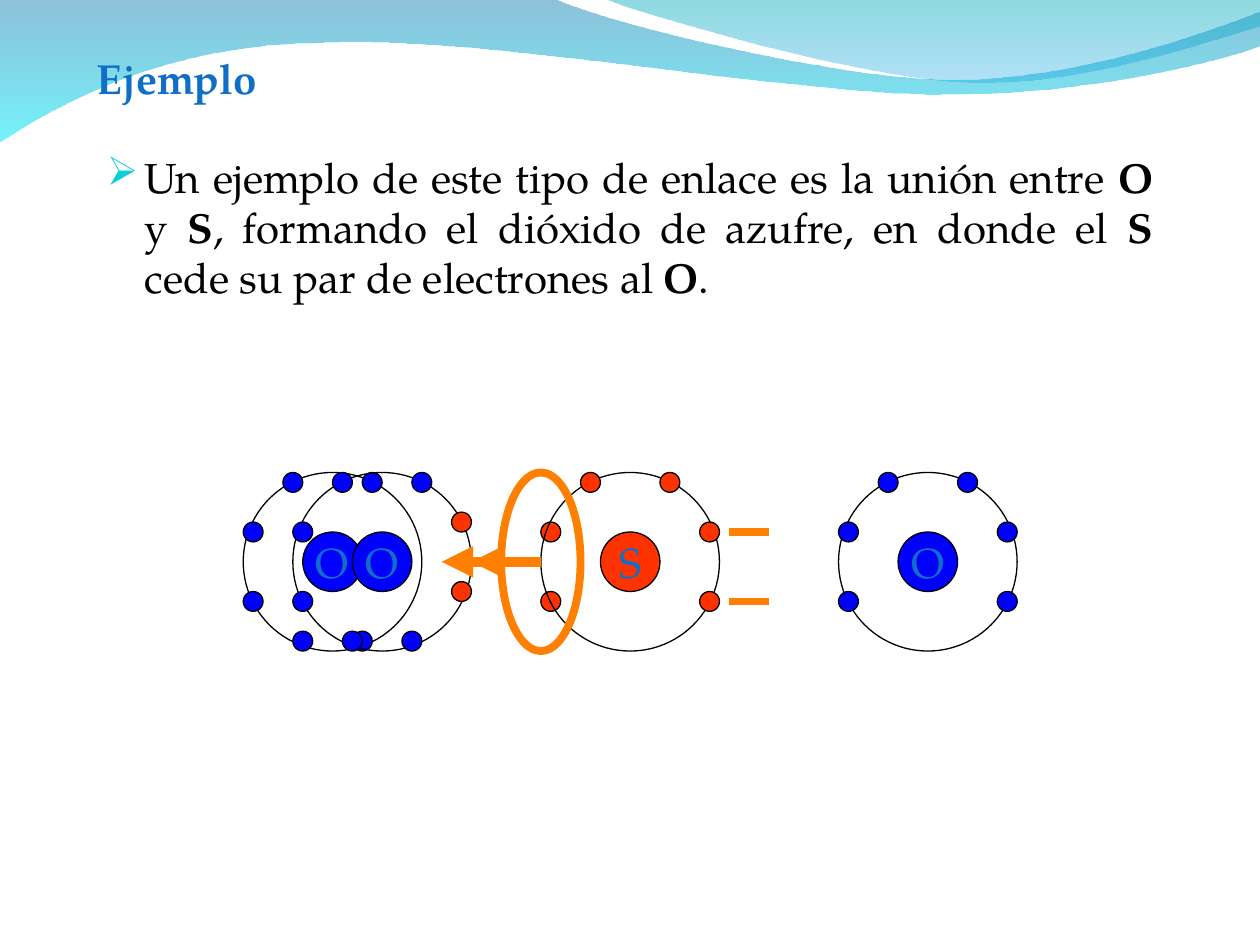
import pptx
import pptx.dml.color
import pptx.enum.shapes
import pptx.enum.text
import pptx.oxml
import pptx.oxml.ns
import pptx.util

Pt = pptx.util.Pt
qn = pptx.oxml.ns.qn
NS = pptx.oxml.ns.nsdecls("a")
OVAL = pptx.enum.shapes.MSO_SHAPE.OVAL
STRAIGHT = pptx.enum.shapes.MSO_CONNECTOR.STRAIGHT
ALIGN = pptx.enum.text.PP_ALIGN
rgb = pptx.dml.color.RGBColor.from_string
BLUE, RED, ORANGE = "0000FF", "FF3300", "FF8000"
U, LEFT, TOP = 5.67, 139, 270


def write(p, text, color="000000", bold=False):
    r = p.add_run()
    r.text = text
    r.font.name = "TeX Gyre Pagella"
    r.font.size = Pt(24)
    r.font.bold = bold
    r.font.color.rgb = rgb(color)


def oval(shapes, x, y, w, h, fill=None, line="000000", weight=0.75):
    s = shapes.add_shape(OVAL, Pt(LEFT + x * U), Pt(TOP + y * U), Pt(w * U), Pt(h * U))
    s.shadow.inherit = False
    if fill:
        s.fill.solid()
        s.fill.fore_color.rgb = rgb(fill)
    else:
        s.fill.background()
    s.line.color.rgb = rgb(line)
    s.line.width = Pt(weight)
    return s


prs = pptx.Presentation()
prs.slide_width, prs.slide_height = Pt(720), Pt(540)
slide = prs.slides.add_slide(prs.slide_layouts[6])

waves = [
    ([[(0, -0.7)], [(316.8, -0.7)],
      [(342.7, 12.2), (478.1, 45.4), (545.8, 45.4)],
      [(614.2, 45.4), (689.8, 18.7), (720, 6.5)], [(720.7, 25.9)],
      [(707.8, 31.7), (626.4, 54.7), (537.1, 54)],
      [(447.8, 54), (275, 20.2), (185, 24.5)],
      [(92.9, 25.2), (33.1, 59.8), (-0.7, 81.4)]],
     [("0079AF", 45), ("00EBF8", 55)]),
    ([[(344.9, -0.7)],
      [(366.5, 7.9), (491, 44.6), (553.7, 46.8)],
      [(616.3, 49.7), (691.9, 23), (720, 15.1)], [(720, 0)]],
     [("00ADB6", 45), ("009BE5", 30)]),
]
for segments, stops in waves:
    ends = [(Pt(x), Pt(y)) for x, y in (segment[-1] for segment in segments)]
    builder = slide.shapes.build_freeform(*ends[0])
    builder.add_line_segments(ends[1:], close=True)
    s = builder.convert_to_shape()
    for line, segment in zip(list(s.element.iter(qn("a:lnTo"))), segments[1:]):
        if len(segment) == 3:
            pts = "".join(f'<a:pt x="{Pt(x) - s.left}" y="{Pt(y) - s.top}"/>' for x, y in segment)
            line.getparent().replace(line, pptx.oxml.parse_xml(
                f"<a:cubicBezTo {NS}>{pts}</a:cubicBezTo>"))
    s.shadow.inherit = False
    s.line.fill.background()
    s.fill.gradient()
    s.fill.gradient_angle = 270
    for stop, (color, _) in zip(s.fill.gradient_stops, stops):
        stop.color.rgb = rgb(color)
    for clr, (_, alpha) in zip(s.element.spPr.iter(qn("a:srgbClr")), stops):
        clr.append(pptx.oxml.parse_xml(f'<a:alpha {NS} val="{alpha * 1000}"/>'))

tf = slide.shapes.add_textbox(Pt(54), Pt(82.8), Pt(612), Pt(97.2)).text_frame
tf.word_wrap = True
p = tf.paragraphs[0]
p.alignment = ALIGN.JUSTIFY
pPr = p._p.get_or_add_pPr()
pPr.set("marL", str(Pt(21.6)))
pPr.set("indent", str(-Pt(21.6)))
for xml in (f'<a:buClr {NS}><a:srgbClr val="0BD0D9"/></a:buClr>',
            f'<a:buSzPct {NS} val="95000"/>', f'<a:buChar {NS} char="➢"/>'):
    pPr.append(pptx.oxml.parse_xml(xml))
for text in ("Un ejemplo de este tipo de enlace es la unión entre ", "O", " y ", "S",
             ", formando el dióxido de azufre, en donde el ", "S",
             " cede su par de electrones al ", "O", "."):
    write(p, text, bold=text in ("O", "S"))

upper = [(4, 0), (12, 0)]
left = [(0, 5), (0, 12)]
right = [(16, 5), (16, 12)]
lower = [(5, 16), (11, 16)]
shared = [(16, 4), (16, 11)]
atoms = [
    (30, None, RED, left, []),
    (60, "O", BLUE, upper + right + left, []),
    (0, "O", BLUE, upper + left + lower, []),
    (30, "S", RED, upper + right, []),
    (5, "O", BLUE, upper + left + lower, shared),
]
for x, symbol, color, own, received in atoms:
    shapes = slide.shapes.add_group_shape().shapes
    if symbol:
        tf = oval(shapes, x + 6, 6, 6, 6, color).text_frame
        tf.word_wrap = False
        tf.vertical_anchor = pptx.enum.text.MSO_ANCHOR.MIDDLE
        tf.paragraphs[0].alignment = ALIGN.CENTER
        write(tf.paragraphs[0], symbol, color="0F6FC6")
        oval(shapes, x, 0, 18, 18)
    for electrons, fill in ((own, color), (received, RED)):
        for dx, dy in electrons:
            oval(shapes, x + dx, dy, 2, 2, fill)

tf = slide.shapes.add_textbox(Pt(48.2), Pt(26.3), Pt(629.3), Pt(25.9)).text_frame
tf.word_wrap = True
write(tf.paragraphs[0], "Ejemplo", color="0F6FC6", bold=True)

oval(slide.shapes, 26, 0, 8, 18, line=ORANGE, weight=4.5)

for x1, x2, y, weight, arrow in ((27, 20, 9, 6, True), (49, 53, 6, 4.5, False),
                                 (49, 53, 13, 4.5, False), (30, 23, 9, 6, True)):
    y = Pt(TOP + y * U)
    s = slide.shapes.add_connector(STRAIGHT, Pt(LEFT + x1 * U), y, Pt(LEFT + x2 * U), y)
    s.line.color.rgb = rgb(ORANGE)
    s.line.width = Pt(weight)
    if arrow:
        s.line._get_or_add_ln().append(pptx.oxml.parse_xml(
            f'<a:tailEnd {NS} type="triangle"/>'))
    s.element.spPr.append(pptx.oxml.parse_xml(f"<a:effectLst {NS}/>"))

prs.save("out.pptx")
